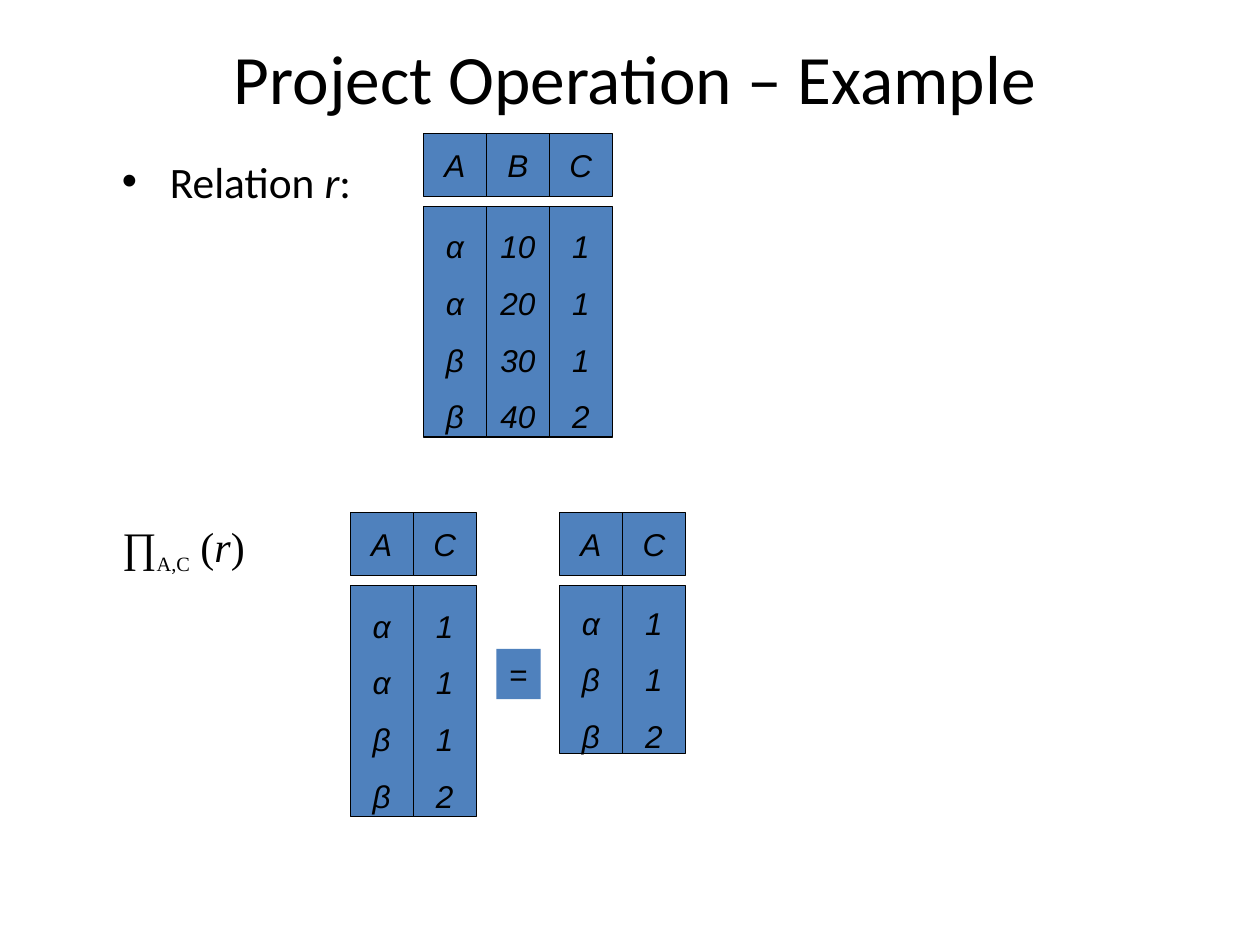
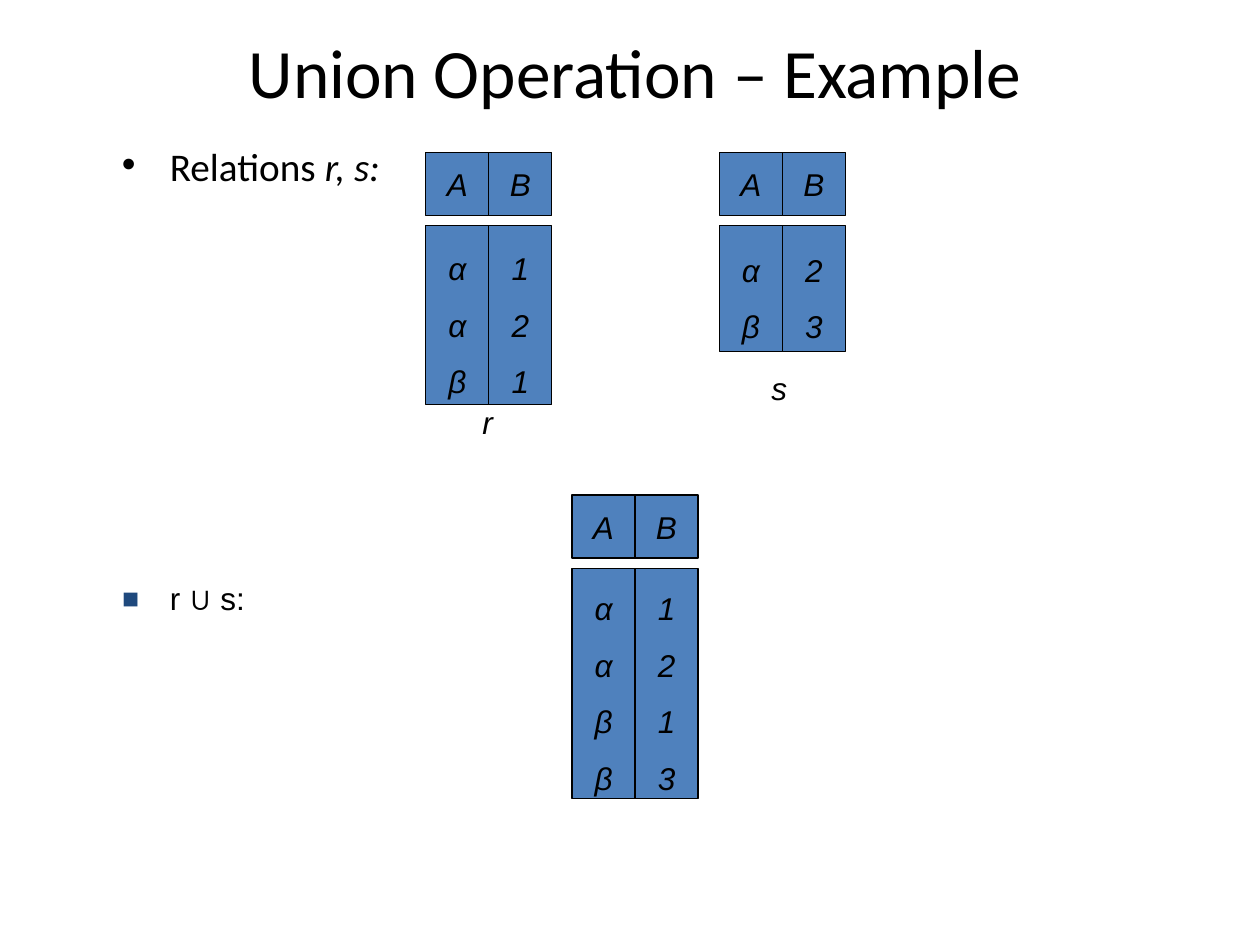
import pptx
import pptx.util
import pptx.dml.color
import pptx.enum.text
import pptx.enum.shapes
import pptx.oxml
import pptx.oxml.ns
import lxml.etree

Inches = pptx.util.Inches
Pt = pptx.util.Pt
Align = pptx.enum.text.PP_ALIGN
Anchor = pptx.enum.text.MSO_ANCHOR
Fit = pptx.enum.text.MSO_AUTO_SIZE
Rect = pptx.enum.shapes.MSO_SHAPE.RECTANGLE
qn = pptx.oxml.ns.qn

BLUE, NAVY, BLACK, WHITE = "4F81BD", "1F497D", "000000", "FFFFFF"
CELL, DROP = 0.5, 0.58


def hue(code):
    return pptx.dml.color.RGBColor.from_string(code)


def ink(para, face, size, slant=False):
    for run in para.runs:
        run.font.name = face
        run.font.size = Pt(size)
        run.font.italic = slant
        run.font.color.rgb = hue(BLACK)


pages = [
    {
        "title": "Project Operation – Example",
        "high": 0.62,
        "grids": [
            (3.36, 1.06, 1.83, ["A α α β β", "B 10 20 30 40", "C 1 1 1 2"]),
            (2.78, 4.07, 1.83, ["A α α β β", "C 1 1 1 2"]),
            (4.44, 4.07, 1.33, ["A α β β", "C 1 1 2"]),
        ],
        "marks": [("=", 3.94, 5.15, 0.35, BLUE)],
        "notes": [
            (1.18, 7.5, 0.45, "Calibri", 24.8, 1, ("•", BLACK, 100),
             [("Relation", False), (" r", True), (":", False)]),
            (4.08, 7.69, 0.45, "Times New Roman", 24, 1, None,
             [("∏", False), ("A,C", False), (" (", False), ("r", True), (")", False)]),
        ],
    },
    {
        "title": "Union Operation – Example",
        "high": 0.53,
        "grids": [
            (3.38, 1.21, 1.42, ["A α α β", "B 1 2 1"]),
            (5.71, 1.21, 1, ["A α β", "B 2 3"]),
            (4.54, 3.93, 1.83, ["A α α β β", "B 1 2 1 3"]),
        ],
        "marks": [("r", 3.73, 3.15, 0.28, None), ("s", 6.02, 2.88, 0.33, None)],
        "notes": [
            (1.18, 7.5, 0.37, "Calibri", 22.4, 0.7, ("•", BLACK, 100),
             [("Relations ", False), ("r, s:", True)]),
            (4.58, 7.69, 0.36, "Arial", 18, 0.9, ("■", NAVY, 90),
             [("r ∪ s:", False)]),
        ],
    },
]

deck = pptx.Presentation()
deck.slide_width = Inches(10)
deck.slide_height = Inches(7.5)

for page in pages:
    slide = deck.slides.add_slide(deck.slide_layouts[5])
    slide.background.fill.solid()
    slide.background.fill.fore_color.rgb = hue(WHITE)

    title = slide.shapes.title
    title.left, title.top = Inches(0.58), Inches(0.3)
    title.width, title.height = Inches(8.92), Inches(page["high"])
    frame = title.text_frame
    frame.text = page["title"]
    frame.auto_size = Fit.NONE
    frame.vertical_anchor = Anchor.MIDDLE
    frame.paragraphs[0].alignment = Align.CENTER
    ink(frame.paragraphs[0], "Calibri", 39.6)

    for top, wide, high, face, size, gap, dot, parts in page["notes"]:
        box = slide.shapes.add_textbox(Inches(0.87), Inches(top), Inches(wide), Inches(high))
        box.text_frame.word_wrap = True
        para = box.text_frame.paragraphs[0]
        para.line_spacing = gap
        if dot:
            sign, tint, scale = dot
            props = para._p.get_or_add_pPr()
            props.set("marL", str(Inches(0.38)))
            props.set("indent", str(-Inches(0.38)))
            shade = lxml.etree.SubElement(props, qn("a:buClr"))
            lxml.etree.SubElement(shade, qn("a:srgbClr"), val=tint)
            lxml.etree.SubElement(props, qn("a:buSzPct"), val=str(scale * 1000))
            lxml.etree.SubElement(props, qn("a:buFont"), typeface="Arial")
            lxml.etree.SubElement(props, qn("a:buChar"), char=sign)
        for words, slant in parts:
            para.add_run().text = words
        ink(para, face, size)
        for run, (words, slant) in zip(para.runs, parts):
            run.font.italic = slant
            if words == "A,C":
                run.font.size = Pt(20)
                run.font._element.set("baseline", "-25000")

    for left, top, high, cols in page["grids"]:
        for col, text in enumerate(cols):
            head, *rows = text.split()
            for y, tall, lines, gap in ((top, CELL, [head], 1), (top + DROP, high, rows, 1.5)):
                cell = slide.shapes.add_shape(
                    Rect, Inches(left + col * CELL), Inches(y), Inches(CELL), Inches(tall))
                cell.shadow.inherit = False
                cell.fill.solid()
                cell.fill.fore_color.rgb = hue(BLUE)
                cell.line.color.rgb = hue(BLACK)
                cell.line.width = Pt(0.75)
                frame = cell.text_frame
                frame.text = "\n".join(lines)
                frame.word_wrap = False
                frame.vertical_anchor = Anchor.MIDDLE
                for para in frame.paragraphs:
                    para.alignment = Align.CENTER
                    para.line_spacing = gap
                    ink(para, "Arial", 18, True)

    for sign, left, top, wide, tint in page["marks"]:
        mark = slide.shapes.add_textbox(Inches(left), Inches(top), Inches(wide), Inches(0.4))
        if tint:
            mark.fill.solid()
            mark.fill.fore_color.rgb = hue(tint)
        frame = mark.text_frame
        frame.text = sign
        frame.word_wrap = False
        frame.auto_size = Fit.SHAPE_TO_FIT_TEXT
        frame.vertical_anchor = Anchor.MIDDLE
        frame.paragraphs[0].alignment = Align.CENTER
        ink(frame.paragraphs[0], "Arial", 18, sign != "=")

deck.save("out.pptx")
